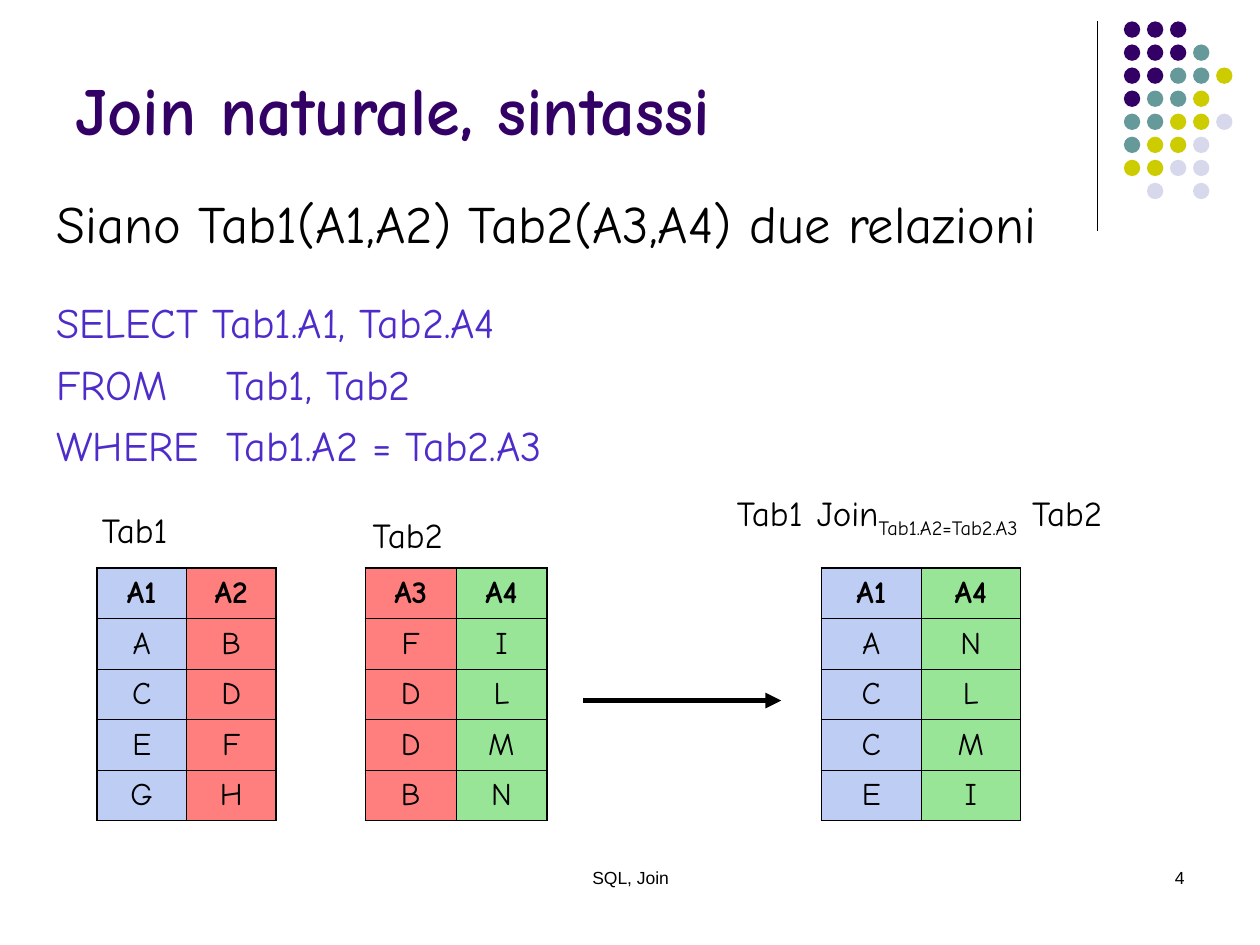
from lxml import etree
from pptx import Presentation
from pptx.dml.color import RGBColor
from pptx.enum.shapes import MSO_CONNECTOR, MSO_SHAPE
from pptx.enum.text import MSO_ANCHOR, PP_ALIGN
from pptx.oxml import parse_xml
from pptx.oxml.ns import nsdecls, qn
from pptx.util import Inches, Pt

BLACK = RGBColor(0x00, 0x00, 0x00)
PURPLE = RGBColor(0x33, 0x00, 0x66)
TEAL = RGBColor(0x66, 0x99, 0x99)
OLIVE = RGBColor(0xCC, 0xCC, 0x00)
LAVENDER = RGBColor(0xD8, 0xD8, 0xEC)
VIOLET = RGBColor(0x4E, 0x2C, 0xCA)
BLUE = RGBColor(0x7E, 0x9C, 0xE8)
RED = RGBColor(0xFF, 0x00, 0x00)
GREEN = RGBColor(0x33, 0xCC, 0x33)

FONT = "Comic Neue"
THICK, THIN = 1.08, 0.45
ROW_HEIGHT = 0.4
DOT_LEFT, DOT_TOP, DOT_SIZE, DOT_STEP = 8.92, 0.17, 0.13, 0.183

DOT_COLORS = {"P": PURPLE, "T": TEAL, "O": OLIVE, "L": LAVENDER}
DOT_ROWS = ["PPP", "PPPT", "PPTTO", "PTTO", "TTOOL", "TOOL", "OOLL", ".L.L"]

INTRO = "Siano Tab1(A1,A2) Tab2(A3,A4) due relazioni"
QUERY = ["SELECT Tab1.A1, Tab2.A4", "FROM\tTab1, Tab2", "WHERE\tTab1.A2 = Tab2.A3"]
TABLES = [
    (0.77, 0.71, (BLUE, RED), ["A1 A2", "A B", "C D", "E F", "G H"]),
    (2.9, 0.72, (RED, GREEN), ["A3 A4", "F I", "D L", "D M", "B N"]),
    (6.52, 0.79, (BLUE, GREEN), ["A1 A4", "A N", "C L", "C M", "E I"]),
]
TABLE_TOP = 4.51
LABELS = [
    ((0.71, 3.99, 0.75, 0.44), [("Tab1", 20, False)]),
    ((2.86, 4.03, 0.78, 0.44), [("Tab2", 20, False)]),
    ((5.75, 3.8, 3.18, 0.54), [
        ("Tab1", 20, False), (" ", 24, False), ("Join", 20, False),
        ("Tab1.A2=Tab2.A3", 20, True), (" ", 24, False), ("Tab2", 20, False),
    ]),
]
FOOTERS = [
    ((3.42, 6.83, 3.17, 0.5), "SQL, Join", PP_ALIGN.CENTER),
    ((7.17, 6.83, 2.33, 0.5), "4", PP_ALIGN.RIGHT),
]


def style(font, size, color=BLACK, name=FONT, bold=False):
    font.size, font.name, font.bold = Pt(size), name, bold
    font.color.rgb = color


def add_text_frame(slide, box, wrap=True):
    text_frame = slide.shapes.add_textbox(*map(Inches, box)).text_frame
    text_frame.word_wrap = wrap
    return text_frame


def add_line(slide, start, end, width, arrow=False):
    line = slide.shapes.add_connector(
        MSO_CONNECTOR.STRAIGHT, *map(Inches, start + end))
    line.line.color.rgb = BLACK
    line.line.width = Pt(width)
    if arrow:
        etree.SubElement(line.line._get_or_add_ln(), qn("a:tailEnd"), type="triangle")
    etree.SubElement(line._element.spPr, qn("a:effectLst"))


def add_dots(slide):
    for row, codes in enumerate(DOT_ROWS):
        for column, code in enumerate(codes):
            if code not in DOT_COLORS:
                continue
            left, top = DOT_LEFT + column * DOT_STEP, DOT_TOP + row * DOT_STEP
            dot = slide.shapes.add_shape(
                MSO_SHAPE.OVAL, *map(Inches, (left, top, DOT_SIZE, DOT_SIZE)))
            dot.shadow.inherit = False
            dot.fill.solid()
            dot.fill.fore_color.rgb = DOT_COLORS[code]
            dot.line.fill.background()


def set_borders(cell, widths):
    properties = cell._tc.get_or_add_tcPr()
    for side, width in widths.items():
        properties.append(parse_xml(
            f'<a:ln{side} {nsdecls("a")} w="{Pt(width)}"><a:solidFill>'
            f'<a:srgbClr val="{BLACK}"/></a:solidFill></a:ln{side}>'))


def fill_half_transparent(cell, color):
    cell.fill.solid()
    cell.fill.fore_color.rgb = color
    color_element = cell._tc.tcPr.find(f"{qn('a:solidFill')}/{qn('a:srgbClr')}")
    etree.SubElement(color_element, qn("a:alpha"), val="50000")


def add_relation(slide, left, column_width, colors, lines):
    rows, columns = len(lines), len(colors)
    box = (left, TABLE_TOP, column_width * columns, ROW_HEIGHT * rows)
    table = slide.shapes.add_table(rows, columns, *map(Inches, box)).table
    for row, line in enumerate(lines):
        for column, value in enumerate(line.split()):
            cell = table.cell(row, column)
            cell.text = value
            cell.vertical_anchor = MSO_ANCHOR.MIDDLE
            paragraph = cell.text_frame.paragraphs[0]
            paragraph.alignment = PP_ALIGN.CENTER
            style(paragraph.runs[0].font, 18, bold=row == 0)
            outer = {"L": column == 0, "R": column == columns - 1,
                     "T": row == 0, "B": row == rows - 1}
            set_borders(cell, {side: THICK if edge else THIN
                               for side, edge in outer.items()})
            fill_half_transparent(cell, colors[column])


def add_body(slide):
    text_frame = add_text_frame(slide, (0.35, 1.47, 9.42, 2.4))
    paragraph = text_frame.paragraphs[0]
    paragraph.text = INTRO
    style(paragraph.runs[0].font, 30)
    for index, line in enumerate(QUERY):
        paragraph = text_frame.add_paragraph()
        paragraph.text = line
        paragraph.line_spacing = Pt(35)
        paragraph.space_before = Pt(0 if index else 18)
        tabs = etree.SubElement(paragraph._p.get_or_add_pPr(), qn("a:tabLst"))
        etree.SubElement(tabs, qn("a:tab"), pos=str(Inches(1.35)), algn="l")
        style(paragraph.runs[0].font, 24, VIOLET)


def main():
    presentation = Presentation()
    presentation.slide_width, presentation.slide_height = Inches(10), Inches(7.5)
    slide = presentation.slides.add_slide(presentation.slide_layouts[6])

    add_line(slide, (8.71, 0.17), (8.71, 1.83), 0.75)
    add_dots(slide)
    for box, text, alignment in FOOTERS:
        paragraph = add_text_frame(slide, box).paragraphs[0]
        paragraph.text = text
        paragraph.alignment = alignment
        style(paragraph.runs[0].font, 10, name="Arial")

    title = add_text_frame(slide, (0.5, 0.13, 8.25, 1.1))
    title.text = "Join naturale, sintassi"
    title.vertical_anchor = MSO_ANCHOR.BOTTOM
    style(title.paragraphs[0].runs[0].font, 39, PURPLE, bold=True)

    add_body(slide)
    for relation in TABLES:
        add_relation(slide, *relation)
    add_line(slide, (4.63, 5.56), (6.2, 5.56), 3, arrow=True)

    for box, pieces in LABELS:
        paragraph = add_text_frame(slide, box, wrap=False).paragraphs[0]
        for text, size, subscript in pieces:
            run = paragraph.add_run()
            run.text = text
            style(run.font, size)
            if subscript:
                run.font._element.set("baseline", "-25000")
    presentation.save("out.pptx")


if __name__ == "__main__":
    main()
